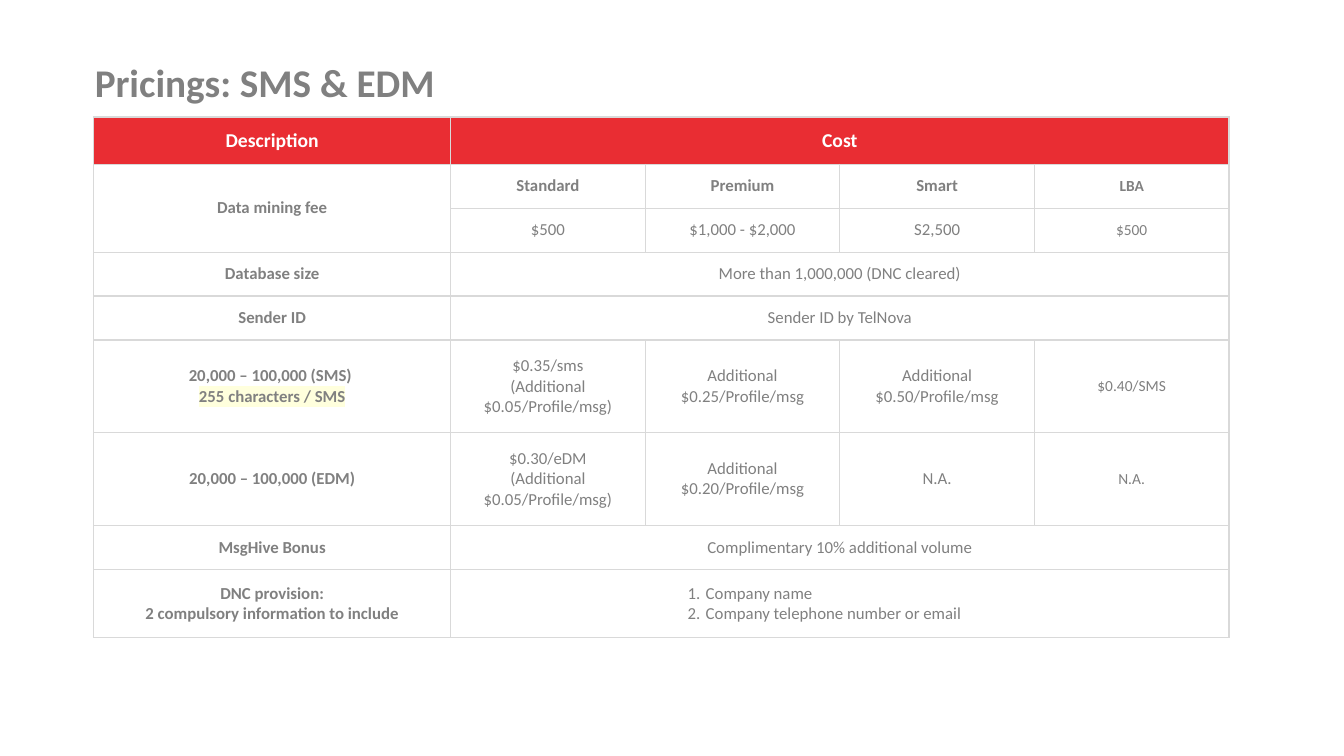
from lxml.etree import SubElement, fromstring
from pptx import Presentation
from pptx.dml.color import RGBColor
from pptx.enum.text import MSO_ANCHOR as ANCHOR, MSO_AUTO_SIZE as AUTO_SIZE, PP_ALIGN as ALIGN
from pptx.oxml.ns import nsdecls, qn
from pptx.util import Inches, Pt

RED, GREY, WHITE, BORDER, PALE_YELLOW = "E92D33", "808080", "FFFFFF", "D9D9D9", "FFFFDD"
TABLE_HEIGHT = 5.17
HEADER, PRICES, PROVISION = 0.47, 0.92, 0.68
LINE = (TABLE_HEIGHT - HEADER - 2 * PRICES - PROVISION) / 5
ROW_HEIGHTS = [HEADER] + [LINE] * 4 + [PRICES] * 2 + [LINE, PROVISION]
COL_WIDTHS = [3.54] + [1.93] * 4

# One text in the cost columns spans all four; None continues the cell above.
# \n starts a paragraph, \v breaks a line.
ROWS = [
    ["Description", "Cost"],
    ["Data mining fee", "Standard", "Premium", "Smart", "LBA"],
    [None, "$500", "$1,000 - $2,000", "S2,500", "$500"],
    ["Database size", "More than 1,000,000 (DNC cleared)"],
    ["Sender ID", "Sender ID by TelNova"],
    ["20,000 – 100,000 (SMS) \v255 characters / SMS",
     "$0.35/sms\v(Additional\n$0.05/Profile/msg)",
     "Additional\n$0.25/Profile/msg", "Additional\n$0.50/Profile/msg", "$0.40/SMS"],
    ["20,000 – 100,000 (EDM)",
     "$0.30/eDM\v(Additional\n$0.05/Profile/msg)",
     "Additional\n$0.20/Profile/msg", "N.A.", "N.A."],
    ["MsgHive Bonus", "Complimentary 10% additional volume"],
    ["DNC provision:\n2 compulsory information to include",
     "Company name\nCompany telephone number or email"],
]


def rgb(hex_color):
    return RGBColor.from_string(hex_color)


class Deck:
    font = "Calibri"

    def __init__(self):
        self.prs = Presentation()
        self.prs.slide_width, self.prs.slide_height = Inches(13.33), Inches(7.5)
        self.s = self.prs.slides.add_slide(self.prs.slide_layouts[5])

    def style(self, p, size, color=GREY, bold=False, align=ALIGN.CENTER):
        p.alignment = align
        p.font.name, p.font.size, p.font.bold = self.font, Pt(size), bold
        p.font.color.rgb = rgb(color)

    def title(self, text, x, y, w, h):
        sp = self.s.shapes.title
        sp.left, sp.top, sp.width, sp.height = map(Inches, (x, y, w, h))
        tf = sp.text_frame
        tf.text = text
        tf.auto_size = AUTO_SIZE.SHAPE_TO_FIT_TEXT
        tf.vertical_anchor = ANCHOR.TOP
        self.style(tf.paragraphs[0], 28, bold=True, align=ALIGN.LEFT)

    def table(self, x, y, col_widths, row_heights):
        frame = self.s.shapes.add_table(
            len(row_heights), len(col_widths), Inches(x), Inches(y),
            Inches(sum(col_widths)), Inches(sum(row_heights)))
        table = frame.table
        table.first_row = table.horz_banding = False
        for col, width in zip(table.columns, col_widths):
            col.width = Inches(width)
        for row, height in zip(table.rows, row_heights):
            row.height = Inches(height)
        for cell in table.iter_cells():
            cell.fill.background()
            self.borders(cell)
        return table

    def borders(self, cell):
        tcPr = cell._tc.get_or_add_tcPr()
        for i, side in enumerate("LRTB"):
            tcPr.insert(i, fromstring(
                f'<a:ln{side} {nsdecls("a")} w="{Pt(1)}"><a:solidFill>'
                f'<a:srgbClr val="{BORDER}"/></a:solidFill></a:ln{side}>'))

    def cell(self, cell, text, size, color=GREY, bold=False, fill=None):
        cell.text = text
        cell.vertical_anchor = ANCHOR.MIDDLE
        cell.margin_left = cell.margin_right = Inches(0.08)
        cell.margin_top = cell.margin_bottom = Inches(0.08)
        if fill:
            cell.fill.solid()
            cell.fill.fore_color.rgb = rgb(fill)
        for p in cell.text_frame.paragraphs:
            self.style(p, size, color, bold)

    def number(self, p, indent, hanging):
        """Make the paragraph an item of a 1. 2. 3. list."""
        p.alignment = ALIGN.LEFT
        pPr = p._p.get_or_add_pPr()
        pPr.set("marL", str(Inches(indent)))
        pPr.set("indent", str(-Inches(hanging)))
        pPr.insert(0, fromstring(f'<a:buAutoNum {nsdecls("a")} type="arabicPeriod"/>'))

    def highlight(self, r, color):
        rPr = r._r.get_or_add_rPr()
        SubElement(SubElement(rPr, qn("a:highlight")), qn("a:srgbClr")).set("val", color)


def main():
    deck = Deck()
    deck.title("Pricings: SMS & EDM", 0.84, 0.53, 11.11, 0.57)
    table = deck.table(0.93, 1.16, COL_WIDTHS, ROW_HEIGHTS)
    last_col = len(COL_WIDTHS) - 1

    for i, texts in enumerate(ROWS):
        if len(texts) == 2:
            table.cell(i, 1).merge(table.cell(i, last_col))
        for j, text in enumerate(texts):
            if text is None:
                table.cell(i - 1, j).merge(table.cell(i, j))
            elif i == 0:
                deck.cell(table.cell(i, j), text, 14, WHITE, bold=True, fill=RED)
            else:
                deck.cell(table.cell(i, j), text, 11 if j == last_col else 12,
                          bold=j == 0 or i == 1)

    deck.highlight(table.cell(5, 0).text_frame.paragraphs[0].runs[1], PALE_YELLOW)
    for p in table.cell(8, 1).text_frame.paragraphs:
        deck.number(p, 2.45, 0.18)
    deck.prs.save("out.pptx")


if __name__ == "__main__":
    main()
